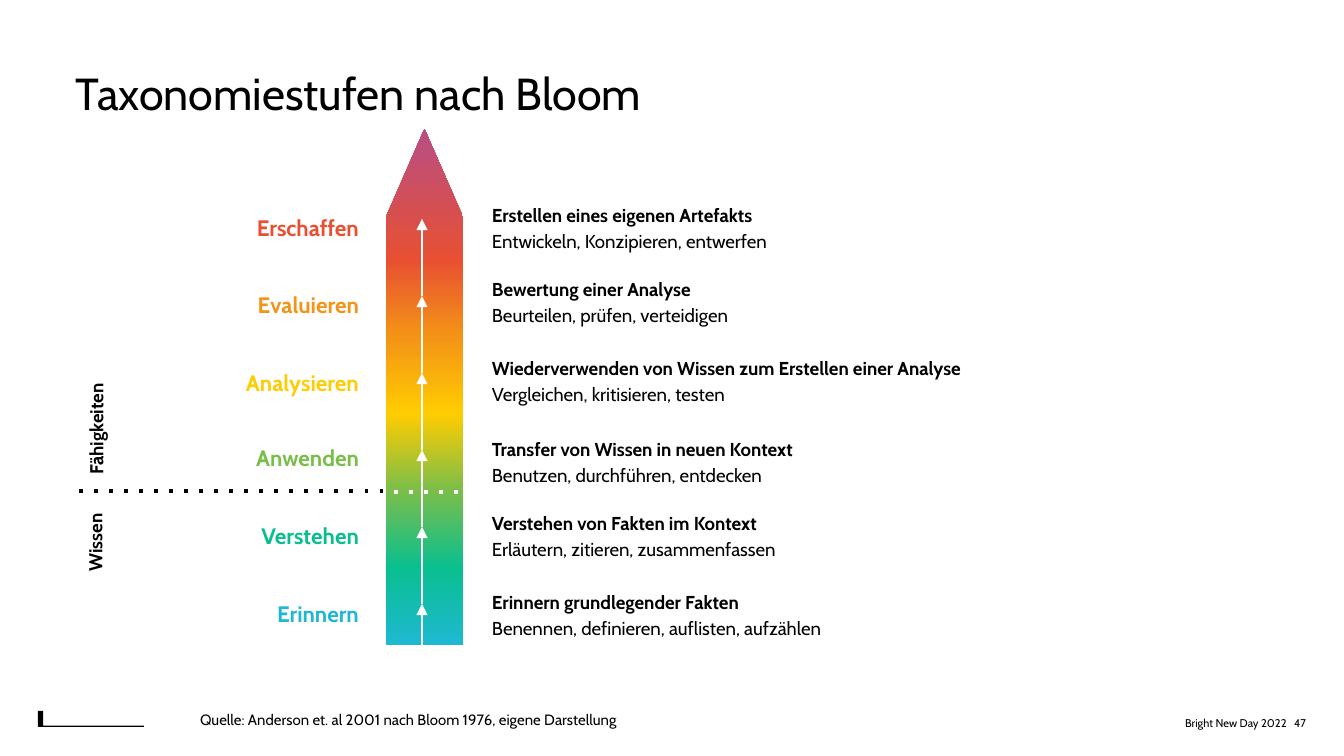
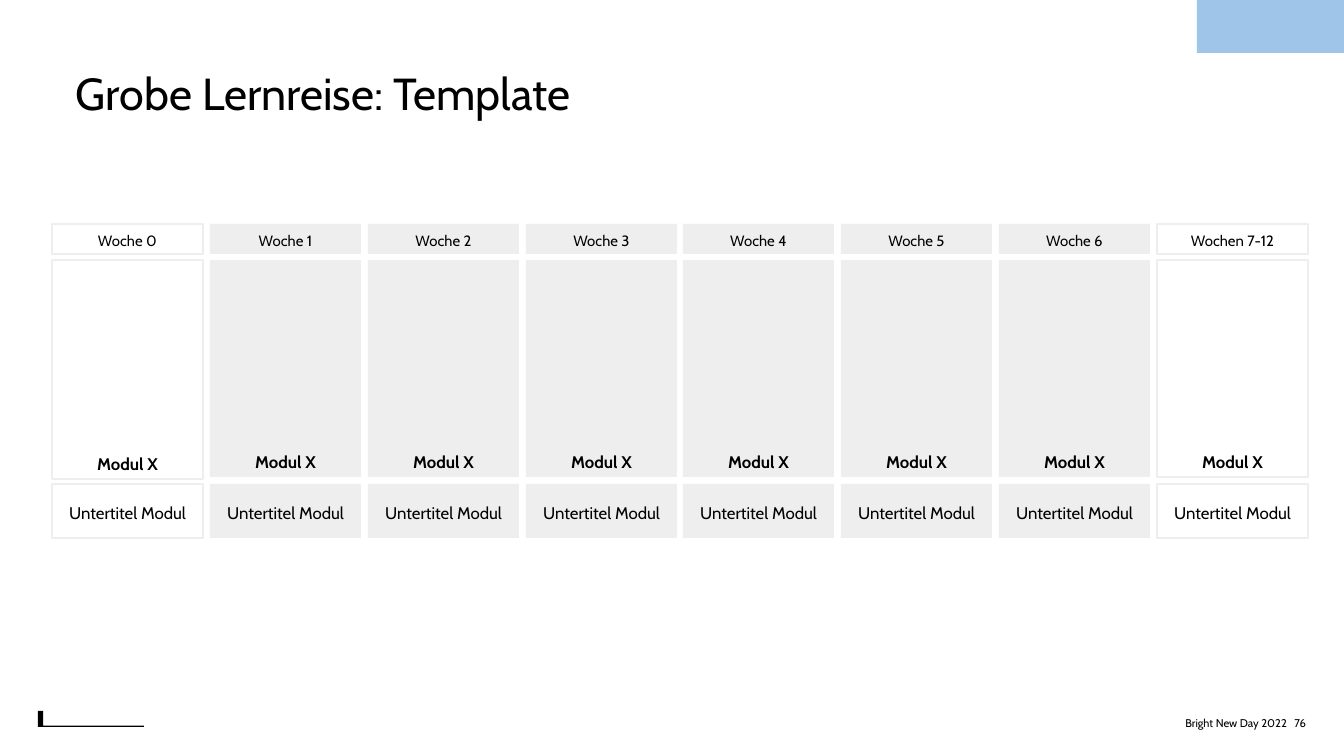
from lxml import etree
from pptx import Presentation
from pptx.dml.color import RGBColor
from pptx.enum.shapes import MSO_CONNECTOR, MSO_SHAPE
from pptx.enum.text import MSO_ANCHOR, MSO_AUTO_SIZE, PP_ALIGN
from pptx.oxml.ns import qn
from pptx.util import Pt

RECT, ARROW, CORNER = MSO_SHAPE.RECTANGLE, MSO_SHAPE.RIGHT_ARROW, MSO_SHAPE.CORNER
STRAIGHT = MSO_CONNECTOR.STRAIGHT
LEFT, CENTER, RIGHT = PP_ALIGN.LEFT, PP_ALIGN.CENTER, PP_ALIGN.RIGHT
TOP, MIDDLE, BOTTOM = MSO_ANCHOR.TOP, MSO_ANCHOR.MIDDLE, MSO_ANCHOR.BOTTOM
FIXED, GROW = MSO_AUTO_SIZE.NONE, MSO_AUTO_SIZE.SHAPE_TO_FIT_TEXT

BLACK = RGBColor(0x00, 0x00, 0x00)
WHITE = RGBColor(0xFF, 0xFF, 0xFF)
GREY = RGBColor(0xEE, 0xEE, 0xEE)
SKY = RGBColor(0x9F, 0xC5, 0xE8)
PLUM = RGBColor(0xB8, 0x4E, 0x84)
RED = RGBColor(0xE8, 0x50, 0x31)
ORANGE = RGBColor(0xF4, 0x94, 0x16)
YELLOW = RGBColor(0xFF, 0xCC, 0x01)
GREEN = RGBColor(0x7A, 0xBE, 0x4A)
TEAL = RGBColor(0x09, 0xBF, 0x8F)
CYAN = RGBColor(0x1F, 0xB8, 0xD3)

FONT = "Cabin"
SCALE = 914400 / 134.4
OWNER = "Bright New Day 2022"

# Level, colour, label left and top, text top, width and height, two lines
LEVELS = [
    ("Erschaffen", RED, 208, 207, 196, 759, 63,
     "Erstellen eines eigenen Artefakts", "Entwickeln, Konzipieren, entwerfen"),
    ("Evaluieren", ORANGE, 214, 284, 270, 743, 69,
     "Bewertung einer Analyse", "Beurteilen, prüfen, verteidigen"),
    ("Analysieren", YELLOW, 195, 362, 349, 723, 63,
     "Wiederverwenden von Wissen zum Erstellen einer Analyse",
     "Vergleichen, kritisieren, testen"),
    ("Anwenden", GREEN, 212, 437, 430, 699, 63,
     "Transfer von Wissen in neuen Kontext", "Benutzen, durchführen, entdecken"),
    ("Verstehen", TEAL, 220, 515, 504, 770, 69,
     "Verstehen von Fakten im Kontext", "Erläutern, zitieren, zusammenfassen"),
    ("Erinnern", CYAN, 238, 593, 583, 460, 60,
     "Erinnern grundlegender Fakten", "Benennen, definieren, auflisten, aufzählen"),
]
LABEL_END = 364
BAR_LEFT, BAR_TOP, BAR_WIDTH, STEP = 386, 260, 77, 77

WEEKS = [f"Woche {n}" for n in range(7)] + ["Wochen 7-12"]


def px(*sizes):
    return [round(size * SCALE) for size in sizes]


def style(par, size, color=BLACK, bold=False, align=LEFT, space=1.0):
    par.alignment = align
    par.line_spacing = space
    font = par.font
    font.name, font.size, font.bold = FONT, Pt(size), bold
    font.color.rgb = color


def set_frame(shape, pad=(5, 5, 5, 5), anchor=TOP, fit=FIXED):
    frame = shape.text_frame
    frame.word_wrap = True
    frame.auto_size = fit
    frame.vertical_anchor = anchor
    (frame.margin_left, frame.margin_top,
     frame.margin_right, frame.margin_bottom) = px(*pad)
    return frame


def add_text(slide, box, text, size, turn=0, pad=(5, 5, 5, 5), anchor=TOP,
             fit=FIXED, **look):
    shape = slide.shapes.add_textbox(*px(*box))
    shape.rotation = turn
    par = set_frame(shape, pad, anchor, fit).paragraphs[0]
    par.text = text
    style(par, size, **look)
    return shape


def add_shape(slide, kind, box, fill=None, edge=None, adjust=()):
    shape = slide.shapes.add_shape(kind, *px(*box))
    shape.shadow.inherit = False
    for i, value in enumerate(adjust):
        shape.adjustments[i] = value
    if fill is not None:
        shape.fill.solid()
        shape.fill.fore_color.rgb = fill
    if edge is None:
        shape.line.fill.background()
    else:
        shape.line.color.rgb = edge
        shape.line.width = Pt(0.75)
    return shape


def blend(shape, first, last, angle):
    shape.fill.gradient()
    shape.fill.gradient_angle = angle
    for stop, color in zip(shape.fill.gradient_stops, (first, last)):
        stop.color.rgb = color


def add_line(slide, ends, color, width, dash=None, head=None):
    line = slide.shapes.add_connector(STRAIGHT, *px(*ends))
    line.line.color.rgb = color
    line.line.width = Pt(width)
    props = line._element.spPr
    edge = props.get_or_add_ln()
    if dash:
        etree.SubElement(edge, qn("a:prstDash"), val=dash)
    if head:
        etree.SubElement(edge, qn("a:tailEnd"), type=head)
    etree.SubElement(props, qn("a:effectLst"))


def add_cell(slide, box, text, size, outer, bold=False, anchor=MIDDLE):
    cell = add_shape(slide, RECT, box, WHITE if outer else GREY,
                     GREY if outer else None)
    par = set_frame(cell, anchor=anchor).paragraphs[0]
    par.text = text
    style(par, size, bold=bold, align=CENTER, space=1.15)


def add_footer(slide, number):
    box = add_text(slide, (1048, 708, 258, 31), OWNER, 6, align=RIGHT,
                   pad=(13, 13, 0, 13), anchor=MIDDLE)
    par = box.text_frame.paragraphs[0]
    gap = par.add_run()
    gap.text = " "
    gap.font._element.set("spc", "260")
    par.add_run().text = str(number)


def add_slide(deck, title, box, number):
    slide = deck.slides.add_slide(deck.slide_layouts[5])
    head = slide.shapes.title
    head.left, head.top, head.width, head.height = px(*box)
    par = set_frame(head, (38, 38, 38, 38)).paragraphs[0]
    par.text = title
    style(par, 24)
    add_shape(slide, CORNER, (38, 711, 106, 16), BLACK, adjust=(0.08, 0.32))
    add_footer(slide, number)
    return slide


def add_bar(slide):
    colors = [level[1] for level in LEVELS]
    for i, pair in enumerate(zip(colors, colors[1:])):
        band = add_shape(slide, RECT, (BAR_LEFT, BAR_TOP + i * STEP, BAR_WIDTH, STEP))
        blend(band, *pair, 270)
    tip = add_shape(slide, ARROW, (358, 157, 133, BAR_WIDTH), adjust=(1, 1.14))
    tip.rotation = 270
    blend(tip, RED, PLUM, 0)
    for i in range(len(LEVELS)):
        low = 681 - i * STEP
        add_line(slide, (422, low, 422, low - STEP), WHITE, 0.75, head="triangle")


def add_level(slide, name, color, left, top, text_top, width, height, lead, verbs):
    add_text(slide, (left, top, LABEL_END - left, 31), name, 12, color=color,
             bold=True, align=RIGHT, space=1.1)
    box = add_text(slide, (487, text_top, width, height), lead, 10,
                   bold=True, space=1.15)
    par = box.text_frame.add_paragraph()
    par.text = verbs
    style(par, 10, space=1.15)


def draw_levels(deck):
    slide = add_slide(deck, "Taxonomiestufen nach Bloom", (38, 28, 1254, 89), 47)
    add_bar(slide)
    for level in LEVELS:
        add_level(slide, *level)

    # Border between knowledge and skills
    add_line(slide, (379, 492, 465, 492), WHITE, 2, dash="dot")
    add_line(slide, (79, 491, 387, 491), BLACK, 2, dash="dot")
    add_text(slide, (58, 527, 79, 42), "Wissen", 10, turn=270, bold=True,
             align=RIGHT, space=1.1)
    add_text(slide, (38, 398, 121, 42), "Fähigkeiten", 10, turn=270, bold=True,
             space=1.1)

    add_text(slide, (187, 702, 884, 46),
             "Quelle: Anderson et. al 2001 nach Bloom 1976, eigene Darstellung",
             8, pad=(13, 13, 13, 13), fit=GROW)


def draw_journey(deck):
    slide = add_slide(deck, "Grobe Lernreise: Template", (38, 28, 1164, 175), 76)
    last = len(WEEKS) - 1
    for i, week in enumerate(WEEKS):
        left = 52 + round(1105 * i / last)
        outer = i in (0, last)
        add_cell(slide, (left, 224, 151, 30), week, 8, outer)
        add_cell(slide, (left, 260, 151, 219 if i == 0 else 217), "Modul X", 9,
                 outer, bold=True, anchor=BOTTOM)
        add_cell(slide, (left, 484, 151, 54), "Untertitel Modul", 9, outer)

    # Corner tag
    add_shape(slide, RECT, (1197, 0, 147, 53), SKY)


def main():
    deck = Presentation()
    deck.slide_width, deck.slide_height = px(1344, 756)
    draw_levels(deck)
    draw_journey(deck)
    deck.save("out.pptx")


if __name__ == "__main__":
    main()
